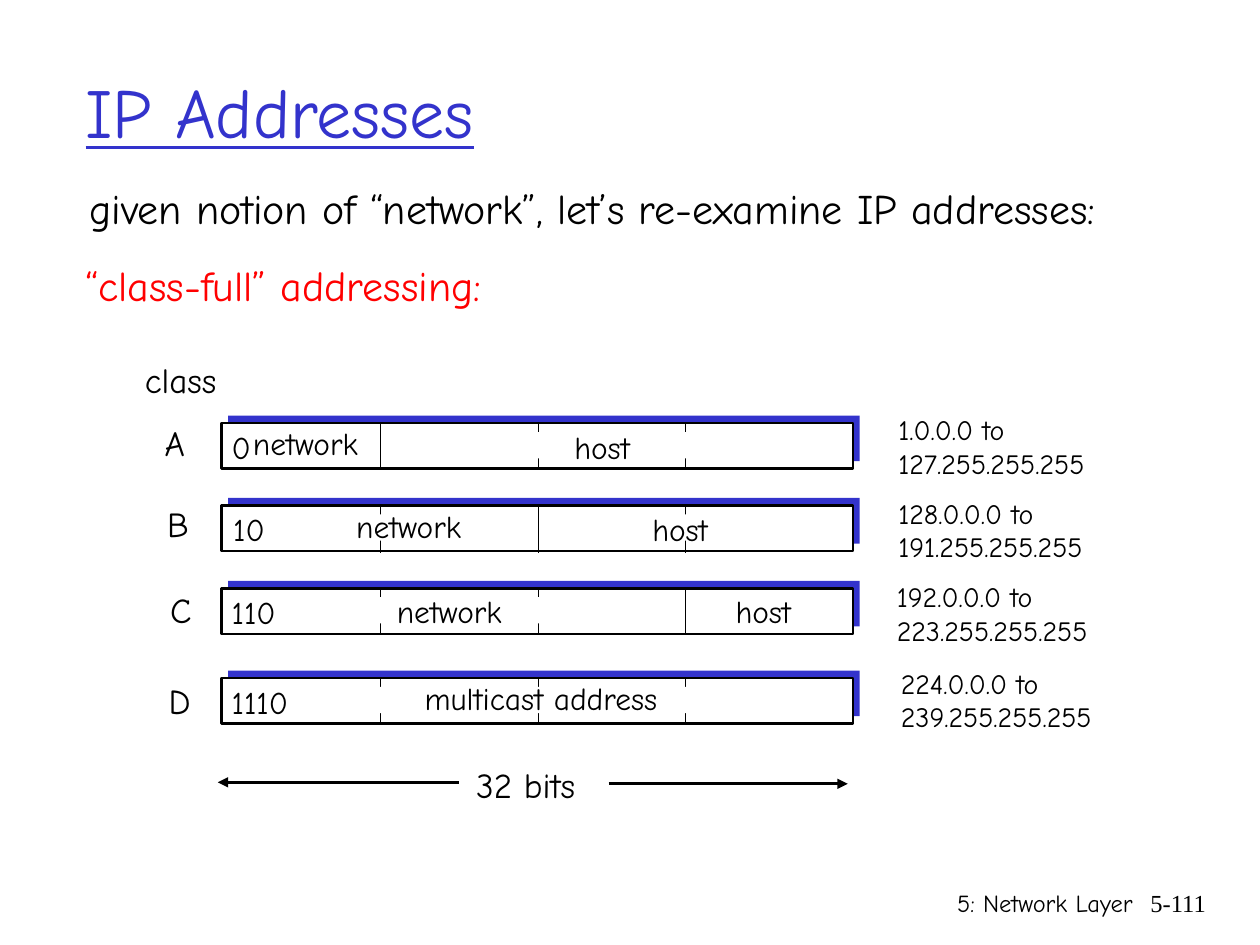
"""Build the slide on class-full IP addressing."""
from dataclasses import dataclass
from typing import NamedTuple

from lxml.etree import SubElement
from pptx import Presentation
from pptx.dml.color import RGBColor
from pptx.enum.shapes import MSO_CONNECTOR, MSO_SHAPE
from pptx.enum.text import MSO_ANCHOR, MSO_AUTO_SIZE, PP_ALIGN
from pptx.oxml.ns import qn
from pptx.util import Cm, Pt

BLUE, BLACK, WHITE, RED = "3333CC", "000000", "FFFFFF", "FF0000"
FONT = "Comic Neue"
BAR_LEFT, BAR_WIDTH, BAR_HEIGHT = 4.47, 12.73, 0.92
SHADOW_LEFT, SHADOW_RISE = 4.6, 0.15
DIVIDERS = (7.67, 10.85, 13.82)
DIVIDER_HEIGHT = 0.95
LABEL_HEIGHT, LETTER_HEIGHT = 1.02, 1.09


class Label(NamedTuple):
    text: str
    left: float
    width: float
    rise: float


@dataclass
class AddressClass:
    top: float
    letter: Label
    address_range: Label
    fields: tuple[Label, ...]
    full_divider: int | None


CLASSES = (
    AddressClass(8.53, Label("A", 3.07, 1.02, 0.15),
                 Label("1.0.0.0 to\n127.255.255.255", 17.86, 4.98, 0.33),
                 (Label("0", 4.42, 0.89, 0.03), Label("network", 4.85, 2.92, 0.1),
                  Label("host", 11.33, 1.83, 0.03)), 0),
    AddressClass(10.19, Label("B", 3.12, 0.97, 0.18),
                 Label("128.0.0.0 to\n191.255.255.255", 17.86, 4.88, 0.31),
                 (Label("10", 4.45, 1.19, 0.03), Label("network", 6.93, 2.92, 0.1),
                  Label("host", 12.9, 1.83, 0.03)), 1),
    AddressClass(11.86, Label("C", 3.18, 0.94, 0.13),
                 Label("192.0.0.0 to\n223.255.255.255", 17.83, 5.05, 0.3),
                 (Label("110", 4.42, 1.47, 0.03), Label("network", 7.75, 2.92, 0.05),
                  Label("host", 14.58, 1.83, 0.05)), 2),
    AddressClass(13.67, Label("D", 3.15, 1.02, 0.1),
                 Label("224.0.0.0 to\n239.255.255.255", 17.91, 5.05, 0.36),
                 (Label("1110", 4.42, 1.75, 0.03),
                  Label("multicast address", 8.31, 5.79, 0.1)), None),
)


def color(value: str) -> RGBColor:
    """Turn a hex string into a colour."""
    return RGBColor.from_string(value)


def write_text(shape, text: str, size: float, ink: str = BLACK, font: str = FONT,
               align=PP_ALIGN.LEFT, underline: bool = False) -> None:
    """Fill a shape with formatted paragraphs, one for each line."""
    shape.text_frame.text = text
    formats = {"name": font, "size": Pt(size), "underline": underline}
    for para in shape.text_frame.paragraphs:
        para.alignment = align
        for span in para.runs:
            for name, value in formats.items():
                setattr(span.font, name, value)
            span.font.color.rgb = color(ink)


def add_text(page, text: str, left: float, top: float, width: float, height: float,
             size: float, wrap: bool = False, **formats) -> None:
    """Add a text box."""
    box = page.shapes.add_textbox(Cm(left), Cm(top), Cm(width), Cm(height))
    box.text_frame.word_wrap = wrap
    box.text_frame.auto_size = MSO_AUTO_SIZE.NONE if wrap else MSO_AUTO_SIZE.SHAPE_TO_FIT_TEXT
    write_text(box, text, size, **formats)


def add_label(page, label: Label, row_top: float, height: float, size: float) -> None:
    """Add a label raised from the top of its row."""
    add_text(page, label.text, label.left, row_top - label.rise, label.width, height, size)


def add_rectangle(page, left: float, top: float, width: float, height: float,
                  fill: str, outlined: bool = False) -> None:
    """Add a filled rectangle with an optional black outline."""
    shape = page.shapes.add_shape(MSO_SHAPE.RECTANGLE, Cm(left), Cm(top), Cm(width), Cm(height))
    shape.shadow.inherit = False
    shape.fill.solid()
    shape.fill.fore_color.rgb = color(fill)
    if outlined:
        shape.line.color.rgb = color(BLACK)
        shape.line.width = Pt(1.5)
    else:
        shape.line.fill.background()


def add_line(page, start: tuple[float, float], end: tuple[float, float],
             weight: float, arrow: bool = False) -> None:
    """Add a straight line with an optional arrowhead at its end."""
    line = page.shapes.add_connector(MSO_CONNECTOR.STRAIGHT, *map(Cm, start + end))
    line.line.color.rgb = color(BLACK)
    line.line.width = Pt(weight)
    properties = line.element.spPr
    if arrow:
        SubElement(properties.find(qn("a:ln")), qn("a:tailEnd"), type="triangle")
    SubElement(properties, qn("a:effectLst"))


def add_address_class(page, row: AddressClass) -> None:
    """Draw one address class with its bar, fields and range."""
    add_rectangle(page, SHADOW_LEFT, row.top - SHADOW_RISE, BAR_WIDTH, BAR_HEIGHT, BLUE)
    add_rectangle(page, BAR_LEFT, row.top, BAR_WIDTH, BAR_HEIGHT, WHITE, outlined=True)
    for index, x in enumerate(DIVIDERS):
        add_line(page, (x, row.top), (x, row.top + DIVIDER_HEIGHT), 0.75)
        if index > (row.full_divider or 0) or index != row.full_divider:
            add_rectangle(page, x - 0.15, row.top + 0.18, 0.25, 0.53, WHITE)
    for field in row.fields:
        add_label(page, field, row.top, LABEL_HEIGHT, 18)
    add_label(page, row.letter, row.top, LETTER_HEIGHT, 20)
    add_label(page, row.address_range, row.top, 1.63, 16)


def add_title(page) -> None:
    """Place and format the title."""
    title = page.shapes.title
    places = {"left": 1.47, "top": 0.64, "width": 21.59, "height": 3.18}
    for name, value in places.items():
        setattr(title, name, Cm(value))
    title.text_frame.vertical_anchor = MSO_ANCHOR.MIDDLE
    title.text_frame.auto_size = MSO_AUTO_SIZE.NONE
    write_text(title, "IP Addresses", 40, BLUE, underline=True)


def main() -> None:
    """Build and save the deck."""
    deck = Presentation()
    deck.slide_width, deck.slide_height = Cm(25.4), Cm(19.05)
    page = deck.slides.add_slide(deck.slide_layouts[5])
    add_title(page)
    add_text(page, "given notion of “network”, let’s re-examine IP addresses:",
             1.55, 3.56, 23.04, 1.4, 24, wrap=True)
    add_text(page, "“class-full” addressing:", 1.47, 5.11, 11.58, 1.27, 24, wrap=True, ink=RED)
    add_text(page, "class", 2.67, 7.11, 2.11, LETTER_HEIGHT, 20)
    for row in CLASSES:
        add_address_class(page, row)
    add_text(page, "32 bits", 9.35, 15.27, 2.87, LETTER_HEIGHT, 20)
    add_line(page, (12.27, 15.8), (17.09, 15.8), 1.5, arrow=True)
    add_line(page, (9.25, 15.77), (4.39, 15.77), 1.5, arrow=True)
    add_text(page, "5: Network Layer", 15.04, 17.78, 8.05, 1.27, 14, wrap=True,
             align=PP_ALIGN.RIGHT)
    add_text(page, "5-111", 22.68, 17.78, 1.88, 1.27, 14, wrap=True,
             font="Times New Roman", align=PP_ALIGN.RIGHT)
    deck.save("out.pptx")


if __name__ == "__main__":
    main()
